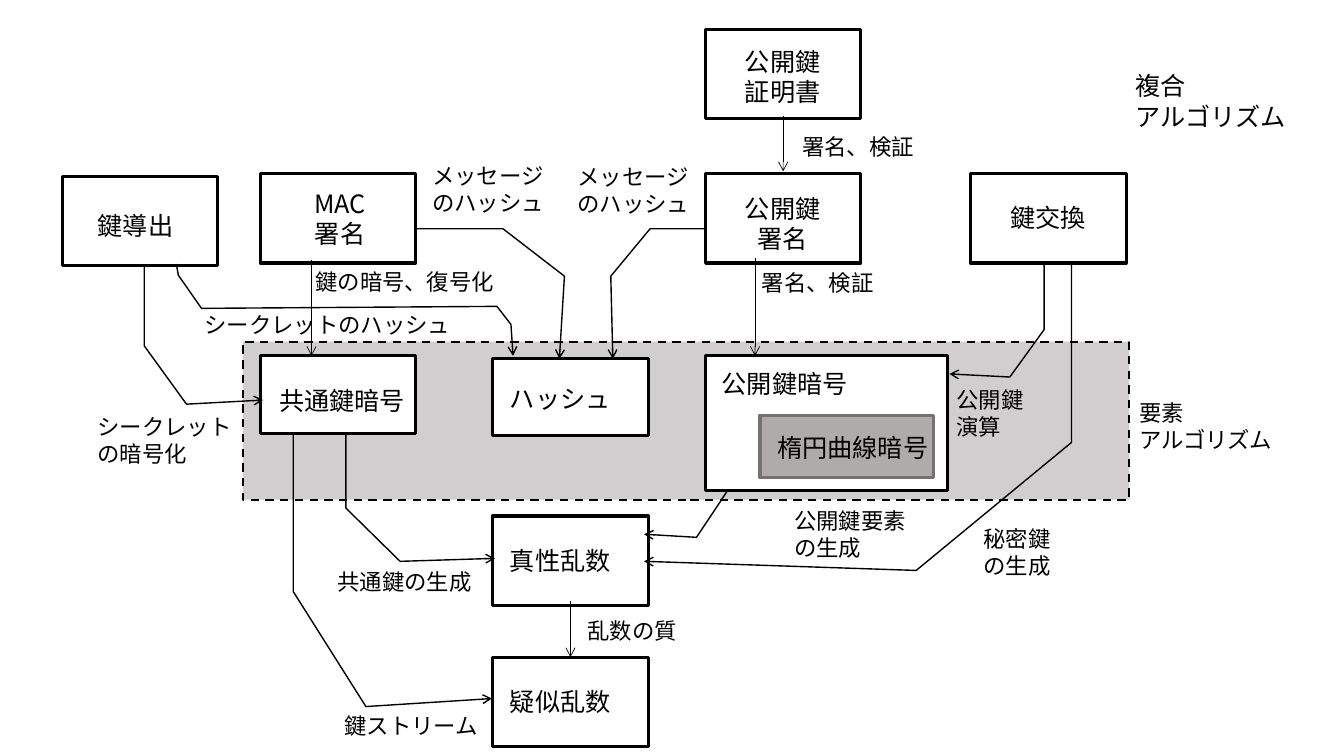
from lxml import etree
from pptx import Presentation
from pptx.dml.color import RGBColor
from pptx.enum.dml import MSO_LINE
from pptx.enum.shapes import MSO_CONNECTOR, MSO_SHAPE
from pptx.enum.text import MSO_AUTO_SIZE, PP_ALIGN
from pptx.oxml.ns import qn
from pptx.util import Pt

RECTANGLE = MSO_SHAPE.RECTANGLE
STRAIGHT = MSO_CONNECTOR.STRAIGHT
DASH = MSO_LINE.DASH
FIT_TEXT = MSO_AUTO_SIZE.SHAPE_TO_FIT_TEXT
LEFT, CENTER = PP_ALIGN.LEFT, PP_ALIGN.CENTER
FONT = "Noto Sans CJK JP"
COLORS = {
    "ink": "000000",
    "node": "FFFFFF",
    "band": "D0CECE",
    "curve": "AFABAB",
    "curve_edge": "767171",
}
NODE_WIDTH, NODE_HEIGHT = 111, 64
NODE_SIZE, FLOW_SIZE = 18, 16


def color(name):
    """Return the named colour."""
    return RGBColor.from_string(COLORS[name])


def add_text(page, left, top, text, size=NODE_SIZE, alignment=LEFT):
    """Add a text box sized to its lines."""
    lines = text.split("\n")
    longest = max(sum(0.76 if char.isascii() else 1 for char in line) for line in lines)
    box = page.shapes.add_textbox(
        Pt(left), Pt(top), Pt(longest * size + 14.4), Pt(len(lines) * size * 1.2 + 7.2)
    )
    frame = box.text_frame
    frame.text = text
    frame.word_wrap = False
    frame.auto_size = FIT_TEXT
    for para in frame.paragraphs:
        para.alignment = alignment
        para.line_spacing = Pt(size * 1.2)
        for span in para.runs:
            span.font.size = Pt(size)
            span.font.name = FONT
            span.font.color.rgb = color("ink")
            east_asian = etree.SubElement(span.font._element, qn("a:ea"))
            east_asian.set("typeface", FONT)


def add_rectangle(page, box, fill="node", edge="ink", weight=2.25):
    """Add a filled rectangle with a border."""
    shape = page.shapes.add_shape(RECTANGLE, *map(Pt, box))
    shape.shadow.inherit = False
    shape.fill.solid()
    shape.fill.fore_color.rgb = color(fill)
    shape.line.color.rgb = color(edge)
    shape.line.width = Pt(weight)
    return shape


def add_node(page, box, text, offset, **style):
    """Add a rectangle with its name at an offset inside it."""
    add_rectangle(page, box, **style)
    add_text(page, box[0] + offset[0], box[1] + offset[1], text, alignment=CENTER)


def add_arrow(page, points):
    """Add an open-headed arrow through two or more points."""
    points = [(Pt(x), Pt(y)) for x, y in points]
    straight = len(points) == 2
    if straight:
        arrow = page.shapes.add_connector(STRAIGHT, *points[0], *points[1])
    else:
        builder = page.shapes.build_freeform(*points[0])
        builder.add_line_segments(points[1:], close=False)
        arrow = builder.convert_to_shape()
        arrow.fill.background()
        arrow.shadow.inherit = False
    arrow.line.color.rgb = color("ink")
    arrow.line.width = Pt(0.5 if straight else 1)
    properties = arrow.element.spPr
    etree.SubElement(properties.find(qn("a:ln")), qn("a:tailEnd")).set("type", "arrow")
    if straight:
        etree.SubElement(properties, qn("a:effectLst"))


def add_composite_algorithms(page, box):
    """Place the composite algorithms and their legend."""
    left, top, width, _ = box
    nodes = [
        (0, 105, "鍵導出", (18, 21)),
        (141.2, 103, "MAC\n署名", (29.5, 7.2)),
        (459.4, 103, "公開鍵\n署名", (20.9, 10.8)),
        (648.8, 103, "鍵交換", (20.9, 17.3)),
        (459.4, 0, "公開鍵\n証明書", (20.9, 8.6)),
    ]
    for x, y, text, offset in nodes:
        add_node(page, (left + x, top + y, NODE_WIDTH, NODE_HEIGHT), text, offset)
    add_text(page, left + width, top + 26, "複合\nアルゴリズム")


def add_element_algorithms(page, box):
    """Place the shaded band, its two small nodes and its legend."""
    left, top, width, _ = box
    band = add_rectangle(page, box, fill="band", weight=1.5)
    band.line.dash_style = DASH
    add_node(page, (left + 12.3, top + 10.2, NODE_WIDTH, 55.4), "共通鍵暗号", (6.4, 17.2))
    add_node(page, (left + 178.5, top + 12.3, NODE_WIDTH, 54.7), "ハッシュ", (5, 13.7))
    add_text(page, left + width, top + 37.5, "要素\nアルゴリズム", FLOW_SIZE)


def add_random_numbers(page, box):
    """Stack the two random number nodes."""
    left, top, width, height = box
    for index, text in enumerate(["真性乱数", "疑似乱数"]):
        y = top + index * (height - NODE_HEIGHT)
        add_node(page, (left, y, width, NODE_HEIGHT), text, (5, 17.6))


def add_public_key_cipher(page, box):
    """Place the public key cipher with the elliptic curve node inside."""
    left, top, _, _ = box
    add_node(page, box, "公開鍵暗号", (4.3, 5.7))
    curve = (left + 38.9, top + 42.4, 123.8, 44.6)
    add_node(page, curve, "楕円曲線暗号", (5, 8.7), fill="curve", edge="curve_edge")


def add_flows(page, box):
    """Draw the arrows between nodes and their labels."""
    left, top, _, _ = box
    arrows = [
        [(222.5, 185.8), (222.5, 254.2)],
        [(539.3, 184.3), (539.3, 254.2)],
        [(407.5, 429.1), (407.5, 469.4)],
        [(559.4, 82.8), (559.4, 122.4)],
        [(247, 309.6), (247, 362.9), (285.8, 401), (353.5, 398.9)],
        [(519.1, 306), (519.1, 351.4), (497.5, 383.8), (460.1, 381.6)],
        [(504, 163.4), (464.4, 163.4), (436.3, 197.3), (437.8, 256.3)],
        [(297.4, 163.4), (359.3, 163.4), (403.2, 197.3), (399.6, 256.3)],
        [(745.9, 188.6), (745.9, 235.4), (721.4, 269.3), (678.2, 267.1)],
        [(765.4, 188.6), (765.4, 316.1), (654.5, 407.5), (460.1, 401)],
        [(103, 188.6), (103, 247), (133.2, 288.7), (187.9, 285.8)],
        [(126, 188.6), (127.4, 196.6), (144, 220.3), (355, 218.9), (365, 231.8), (366.5, 254.2)],
        [(209.5, 308.9), (209.5, 422.6), (261.4, 504.7), (351.4, 499)],
    ]
    labels = [
        (412.6, 437, "乱数の質"),
        (234, 402.5, "共通鍵の生成"),
        (560.2, 358.6, "公開鍵要素\nの生成"),
        (218.2, 187.9, "鍵の暗号、復号化"),
        (405.4, 113, "メッセージ\nのハッシュ"),
        (301.7, 112.3, "メッセージ\nのハッシュ"),
        (565.9, 91.4, "署名、検証"),
        (537.1, 188.6, "署名、検証"),
        (695.5, 371.5, "秘密鍵\nの生成"),
        (676.1, 272.2, "公開鍵\n演算"),
        (139, 218.9, "シークレットのハッシュ"),
        (62.6, 291.6, "シークレット\nの暗号化"),
        (239, 505.4, "鍵ストリーム"),
    ]
    for points in arrows:
        add_arrow(page, [(left + x, top + y) for x, y in points])
    for x, y, text in labels:
        add_text(page, left + x, top + y, text, FLOW_SIZE)


def main():
    """Build the deck."""
    deck = Presentation()
    deck.slide_width, deck.slide_height = Pt(960), Pt(540)
    page = deck.slides.add_slide(deck.slide_layouts[6])
    add_element_algorithms(page, (173.5, 244, 633, 113))
    add_composite_algorithms(page, (44.6, 20.9, 759.6, 169))
    add_random_numbers(page, (352, 368.6, NODE_WIDTH, 164.8))
    add_flows(page, (0, 0, 960, 540))
    add_public_key_cipher(page, (504, 254.2, 172.8, 96.5))
    deck.save("out.pptx")


if __name__ == "__main__":
    main()
